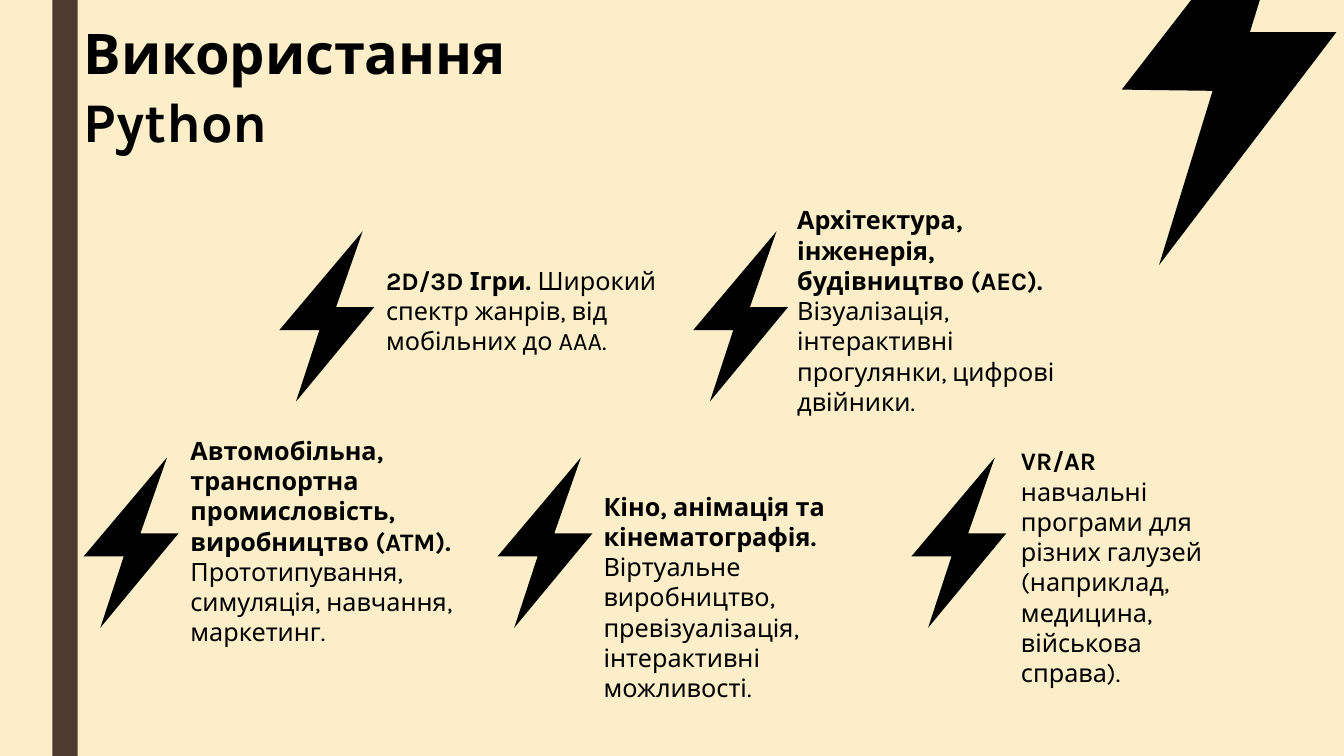
"""Builds a slide on the uses of Python, with a lightning bolt beside each field."""
from pptx import Presentation
from pptx.dml.color import RGBColor
from pptx.enum.shapes import MSO_SHAPE
from pptx.enum.text import MSO_ANCHOR, MSO_AUTO_SIZE, PP_ALIGN
from pptx.util import Cm, Pt

CREAM, BROWN, BLACK = "FBEEC9", "4E3B30", "000000"
STEP = 10.43
BOLT = [(2.1, 0), (0, 2.49), (1.01, 2.49), (0.42, 4.29), (2.39, 1.91), (1.43, 1.91)]
CORNER_BOLT = [(1.75, 0), (3.48, 0), (3.23, 0.81), (5.41, 0.81),
               (0.94, 6.68), (2.29, 2.29), (0, 2.26)]
BOLT_ROWS = [(7.04, 5.83, 2), (2.11, 11.53, 3)]
FIELDS = [
    ((9.73, 6.68, 6.83, 2.31), "2D/3D Ігри. ",
     "Широкий спектр жанрів, від мобільних до AAA."),
    ((20.09, 5.16, 6.93, 5.38), "Архітектура, інженерія, будівництво (AEC). ",
     "Візуалізація, інтерактивні прогулянки, цифрові двійники."),
    ((4.8, 10.97, 6.93, 5.38),
     "Автомобільна, транспортна промисловість, виробництво (ATM). ",
     "Прототипування, симуляція, навчання, маркетинг."),
    ((15.21, 12.37, 7.75, 3.84), "Кіно, анімація та кінематографія.",
     " Віртуальне виробництво, превізуалізація, інтерактивні можливості."),
    ((25.73, 11.23, 4.98, 5.38), "VR/AR ",
     "навчальні програми для різних галузей (наприклад, медицина, військова справа)."),
]


def rgb(value):
    """Return the colour for a hex string."""
    return RGBColor.from_string(value)


def paint(sp, color):
    """Give a shape a flat fill with no line or shadow."""
    sp.shadow.inherit = False
    sp.fill.solid()
    sp.fill.fore_color.rgb = rgb(color)
    sp.line.fill.background()


def add_bolt(s, left, top, points):
    """Draw a black bolt from points relative to its top left corner."""
    corners = [(Cm(left + x), Cm(top + y)) for x, y in points]
    builder = s.shapes.build_freeform(*corners[0])
    builder.add_line_segments(corners[1:], close=True)
    paint(builder.convert_to_shape(), BLACK)


def add_text(s, box, runs, size, anchor=MSO_ANCHOR.TOP):
    """Add a text box of (text, bold) runs in one paragraph."""
    tf = s.shapes.add_textbox(*map(Cm, box)).text_frame
    frame = {"word_wrap": True, "auto_size": MSO_AUTO_SIZE.NONE, "vertical_anchor": anchor,
             "margin_left": 0, "margin_top": 0, "margin_right": 0, "margin_bottom": 0}
    for name, value in frame.items():
        setattr(tf, name, value)
    p = tf.paragraphs[0]
    p.alignment = PP_ALIGN.LEFT
    for text, bold in runs:
        r = p.add_run()
        r.text = text
        for name, value in {"name": "Karla", "size": Pt(size), "bold": bold}.items():
            setattr(r.font, name, value)
        r.font.color.rgb = rgb(BLACK)


def main():
    """Build and save the slide."""
    prs = Presentation()
    prs.slide_width, prs.slide_height = Cm(33.87), Cm(19.05)
    s = prs.slides.add_slide(prs.slide_layouts[6])
    s.background.fill.solid()
    s.background.fill.fore_color.rgb = rgb(CREAM)
    bar = s.shapes.add_shape(MSO_SHAPE.RECTANGLE, Cm(1.32), 0, Cm(0.64), prs.slide_height)
    paint(bar, BROWN)
    add_bolt(s, 28.27, 0, CORNER_BOLT)
    for left, top, count in BOLT_ROWS:
        for i in range(count):
            add_bolt(s, left + i * STEP, top, BOLT)
    for box, heading, detail in FIELDS:
        add_text(s, box, [(heading, True), (detail, False)], 18)
    add_text(s, (2.11, 1.32, 14.76, 1.7), [("Використання Python", True)], 40,
             MSO_ANCHOR.MIDDLE)
    prs.save("out.pptx")


if __name__ == "__main__":
    main()
